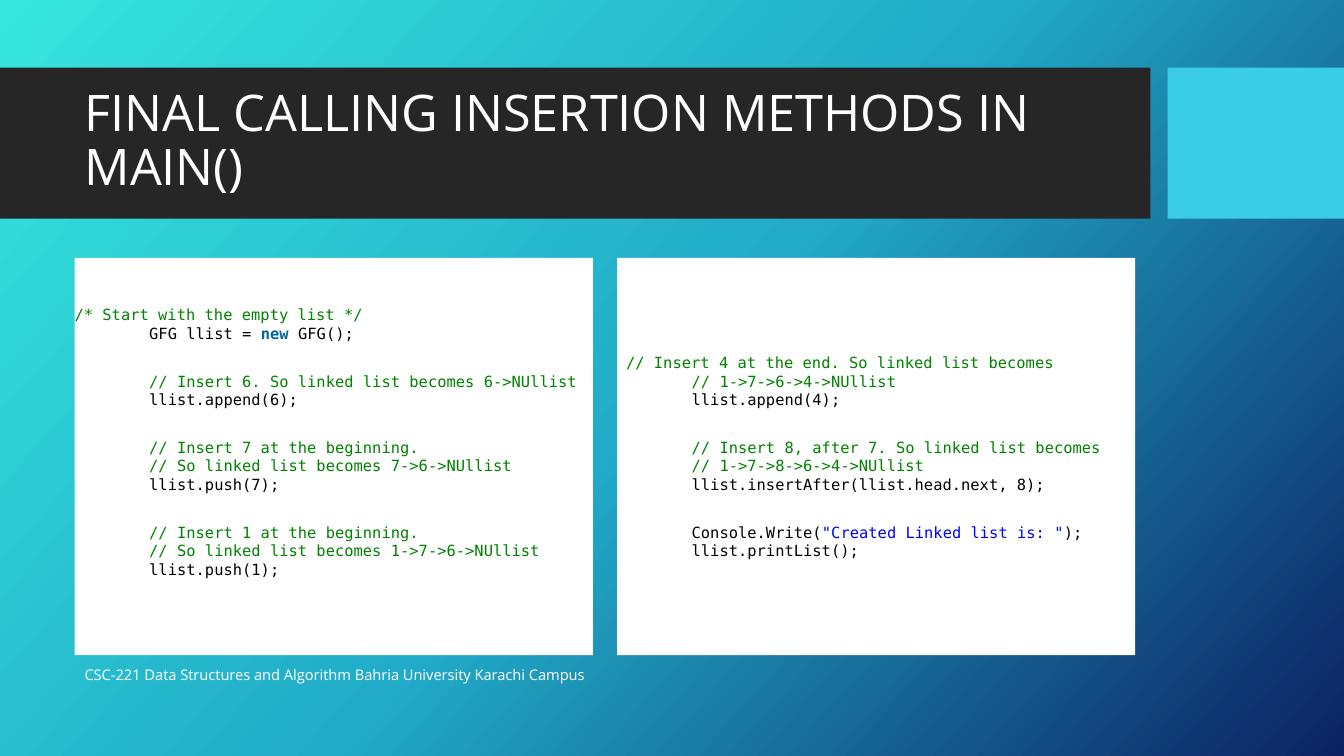
from copy import deepcopy

from pptx import Presentation
from pptx.dml.color import RGBColor
from pptx.enum.shapes import MSO_SHAPE
from pptx.enum.text import MSO_ANCHOR, PP_ALIGN
from pptx.oxml.ns import qn
from pptx.util import Inches, Pt

RECTANGLE = MSO_SHAPE.RECTANGLE
MIDDLE = MSO_ANCHOR.MIDDLE
LEFT = PP_ALIGN.LEFT

WIDTH, HEIGHT = 13.33, 7.5
MARGIN = 0.74
BAND_TOP, BAND_HEIGHT = 0.67, 1.5
PANEL_TOP, PANEL_WIDTH, PANEL_HEIGHT = 2.56, 5.14, 3.94
PANEL_STEP = 5.38
CODE_INDENT = 0.74
GAP = Pt(21)

CODE_FONT = {"name": "DejaVu Sans Mono", "size": Pt(11)}
COLORS = {"comment": "008200", "code": "000000", "keyword": "006699", "string": "0000FF"}

# Each panel is a list of blocks, each block a list of lines, each line a list of spans.
START_BLOCKS = [
    [[("/* Start with the empty list */", "comment")],
     [("GFG llist = ", "code"), ("new ", "keyword"), ("GFG();", "code")]],
    [[("// Insert 6. So linked list becomes 6->NUllist", "comment")],
     [("llist.append(6);", "code")]],
    [[("// Insert 7 at the beginning.", "comment")],
     [("// So linked list becomes 7->6->NUllist", "comment")],
     [("llist.push(7);", "code")]],
    [[("// Insert 1 at the beginning.", "comment")],
     [("// So linked list becomes 1->7->6->NUllist", "comment")],
     [("llist.push(1);", "code")]],
]
END_BLOCKS = [
    [[("// Insert 4 at the end. So linked list becomes", "comment")],
     [("// 1->7->6->4->NUllist", "comment")],
     [("llist.append(4);", "code")]],
    [[("// Insert 8, after 7. So linked list becomes", "comment")],
     [("// 1->7->8->6->4->NUllist", "comment")],
     [("llist.insertAfter(llist.head.next, 8);", "code")]],
    [[("Console.Write(", "code"), ('"Created Linked list is: "', "string"), (");", "code")],
     [("llist.printList();", "code")]],
]


def color(value):
    return RGBColor.from_string(value)


def apply(target, values):
    for name, value in values.items():
        setattr(target, name, value)


def paint_background(page, stops, angle):
    fill = page.background.fill
    fill.gradient()
    stop_list = page.element.find(".//" + qn("a:gsLst"))
    while len(stop_list) < len(stops):
        stop_list.append(deepcopy(stop_list[0]))
    for stop, (position, value) in zip(fill.gradient_stops, stops):
        stop.position = position
        stop.color.rgb = color(value)
    fill.gradient_angle = 360 - angle


def add_block(page, left, top, width, height, fill):
    box = page.shapes.add_shape(RECTANGLE, *map(Inches, (left, top, width, height)))
    box.shadow.inherit = False
    box.fill.solid()
    box.fill.fore_color.rgb = color(fill)
    box.line.fill.background()
    return box


def add_span(para, text, value, font):
    span = para.add_run()
    span.text = text
    apply(span.font, font)
    span.font.color.rgb = color(value)


def add_label(page, text, left, top, width, height, size, spacing=1.0):
    box = page.shapes.add_textbox(*map(Inches, (left, top, width, height)))
    apply(box.text_frame, {"word_wrap": True, "vertical_anchor": MIDDLE})
    para = box.text_frame.paragraphs[0]
    para.line_spacing = spacing
    add_span(para, text, "FFFFFF", {"name": "Open Sans", "size": Pt(size)})


def add_code_panel(page, column, blocks, first_indent, bottom=0):
    box = add_block(page, MARGIN + column * PANEL_STEP, PANEL_TOP,
                    PANEL_WIDTH, PANEL_HEIGHT, "FFFFFF")
    frame = box.text_frame
    apply(frame, {"word_wrap": True, "vertical_anchor": MIDDLE, "margin_left": 0,
                  "margin_right": 0, "margin_top": 0, "margin_bottom": bottom})
    for block_number, block in enumerate(blocks):
        for line_number, line in enumerate(block):
            opening = block_number == line_number == 0
            para = frame.paragraphs[0] if opening else frame.add_paragraph()
            para.alignment = LEFT
            indent = first_indent if opening else CODE_INDENT
            para._p.get_or_add_pPr().set("marL", str(Inches(indent)))
            if line_number == 0 and not opening:
                para.space_before = GAP
            for text, kind in line:
                add_span(para, text, COLORS[kind], {**CODE_FONT, "bold": kind == "keyword"})


def main():
    deck = Presentation()
    apply(deck, {"slide_width": Inches(WIDTH), "slide_height": Inches(HEIGHT)})
    page = deck.slides.add_slide(deck.slide_layouts[6])
    paint_background(page, [(0, "36E6DD"), (0.5, "21ABC8"), (1, "0C2263")], 42)
    add_block(page, 0, BAND_TOP, 11.41, BAND_HEIGHT, "262626")
    add_block(page, 11.58, BAND_TOP, WIDTH - 11.58, BAND_HEIGHT, "39CDE7")
    add_label(page, "FINAL CALLING INSERTION METHODS IN MAIN()",
              MARGIN, 0.82, 10.51, 1.18, 36, 0.9)
    add_label(page, "CSC-221 Data Structures and Algorithm Bahria University Karachi Campus",
              MARGIN, 6.49, 7.51, 0.4, 10.5)
    add_code_panel(page, 0, START_BLOCKS, 0, GAP)
    add_code_panel(page, 1, END_BLOCKS, 0.09)
    deck.save("out.pptx")


if __name__ == "__main__":
    main()
